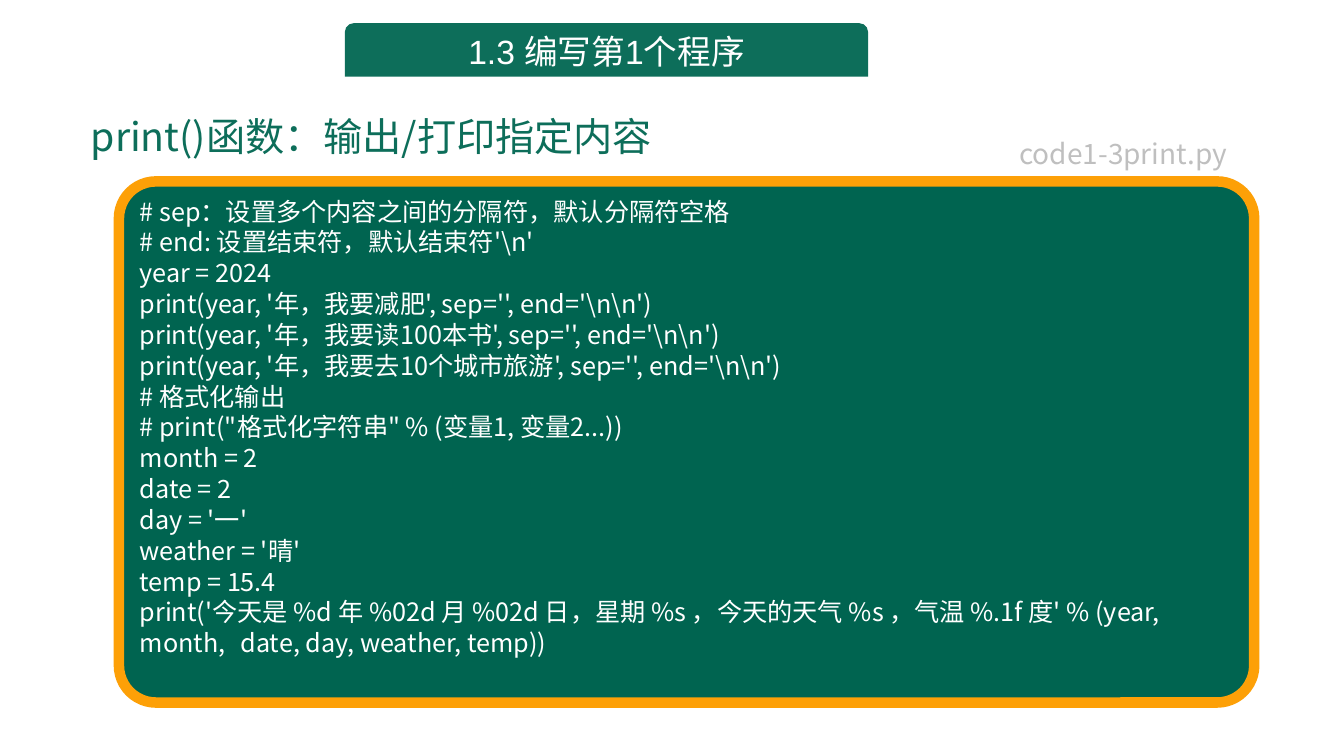
from dataclasses import dataclass

from lxml.etree import SubElement
from pptx import Presentation
from pptx.dml.color import RGBColor
from pptx.enum.shapes import MSO_SHAPE
from pptx.enum.text import MSO_ANCHOR, PP_ALIGN
from pptx.oxml.ns import qn
from pptx.util import Inches, Pt

# Content
SECTION = "1.3 编写第1个程序"
HEADING = "print()函数：输出/打印指定内容"
FILE_NAME = "code1-3print.py"
CODE = [
    "# sep：设置多个内容之间的分隔符，默认分隔符空格",
    r"# end: 设置结束符，默认结束符'\n'",
    "year = 2024",
    r"print(year, '年，我要减肥', sep='', end='\n\n')",
    r"print(year, '年，我要读100本书', sep='', end='\n\n')",
    r"print(year, '年，我要去10个城市旅游', sep='', end='\n\n')",
    "# 格式化输出",
    '# print("格式化字符串" % (变量1, 变量2...))',
    "month = 2",
    "date = 2",
    "day = '一'",
    "weather = '晴'",
    "temp = 15.4",
    "print('今天是 %d 年 %02d 月 %02d 日，星期 %s ，今天的天气 %s ，气温 %.1f 度' "
    "% (year, month, \tdate, day, weather, temp))",
]


@dataclass(frozen=True)
class Theme:
    banner: str = "0D6E5A"
    board: str = "006450"
    frame: str = "FDA007"
    light: str = "FFFFFF"
    muted: str = "BFBFBF"
    banner_font: str = "Arial"
    text_font: str = "Noto Sans CJK SC"
    heading_size: int = 28
    banner_size: int = 24
    file_size: int = 20
    code_size: int = 18
    frame_width: float = 7.5
    line_spacing: float = 1.02


theme = Theme()

# Places: left, top, width, height in inches
BANNER_BOX = (3.42, 0.23, 5.19, 0.53)
HEADING_BOX = (0.8, 1.06, 6.81, 0.59)
FILE_BOX = (10.01, 1.25, 3.32, 0.53)
BOARD_BOX = (1.18, 1.8, 11.26, 5.17)


def write(shape, lines, size, color, font=theme.text_font, anchor=MSO_ANCHOR.MIDDLE,
          align=PP_ALIGN.LEFT, spacing=theme.line_spacing):
    frame = shape.text_frame
    frame.word_wrap = True
    frame.vertical_anchor = anchor
    frame.text = "\n".join(lines)
    for paragraph in frame.paragraphs:
        paragraph.alignment = align
        paragraph.line_spacing = spacing
        paragraph.space_before = Pt(0)
        paragraph.font.size = Pt(size)
        paragraph.font.name = font
        paragraph.font.color.rgb = RGBColor.from_string(color)
        defaults = paragraph._p.pPr.find(qn("a:defRPr"))
        SubElement(defaults, qn("a:ea")).set("typeface", theme.text_font)


def add_panel(slide, kind, box, fill):
    shape = slide.shapes.add_shape(kind, *map(Inches, box))
    shape.shadow.inherit = False
    shape.fill.solid()
    shape.fill.fore_color.rgb = RGBColor.from_string(fill)
    shape.line.fill.background()
    return shape


def main():
    presentation = Presentation()
    presentation.slide_width, presentation.slide_height = Inches(13.33), Inches(7.5)
    slide = presentation.slides.add_slide(presentation.slide_layouts[5])

    # Section banner
    banner = add_panel(slide, MSO_SHAPE.ROUND_2_SAME_RECTANGLE, BANNER_BOX, theme.banner)
    write(banner, [SECTION], theme.banner_size, theme.light, theme.banner_font,
          align=PP_ALIGN.CENTER, spacing=1.0)

    # Heading
    heading = slide.shapes.title
    heading.left, heading.top, heading.width, heading.height = map(Inches, HEADING_BOX)
    write(heading, [HEADING], theme.heading_size, theme.banner, anchor=MSO_ANCHOR.TOP)

    # Code board
    board = add_panel(slide, MSO_SHAPE.ROUNDED_RECTANGLE, BOARD_BOX, theme.board)
    board.adjustments[0] = 0.071
    board.line.color.rgb = RGBColor.from_string(theme.frame)
    board.line.width = Pt(theme.frame_width)
    board.text_frame.margin_top = Inches(0.03)
    write(board, CODE, theme.code_size, theme.light, anchor=MSO_ANCHOR.TOP)

    # File name
    file_label = slide.shapes.add_textbox(*map(Inches, FILE_BOX))
    write(file_label, [FILE_NAME], theme.file_size, theme.muted)

    presentation.save("out.pptx")


if __name__ == "__main__":
    main()
